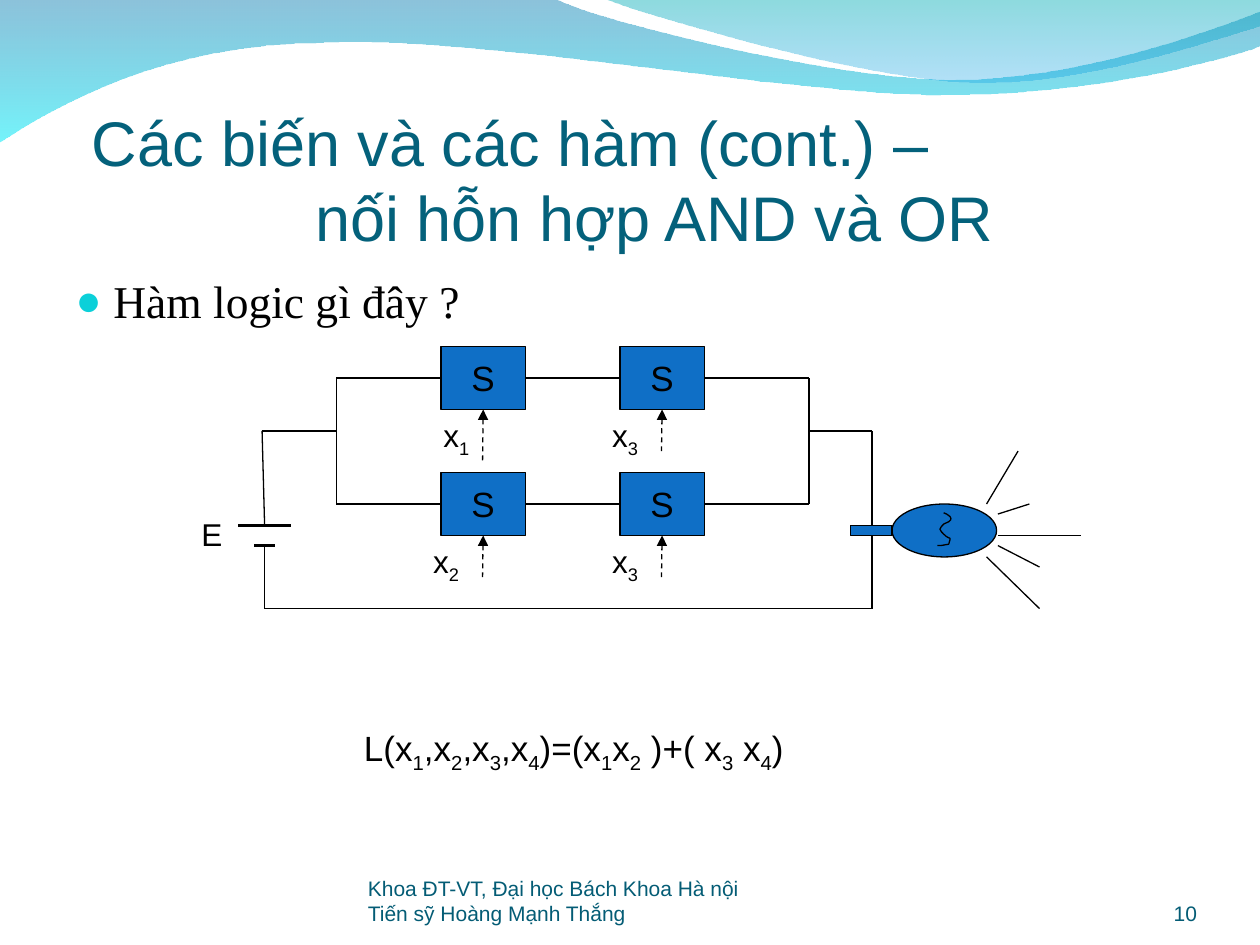
"""Build the slide on a lamp circuit that mixes AND and OR switches."""
import pptx
import pptx.util
import pptx.dml.color
import pptx.enum.dml
import pptx.enum.shapes
import pptx.enum.text
import pptx.oxml.ns
from lxml import etree

Inches = pptx.util.Inches
Pt = pptx.util.Pt
qn = pptx.oxml.ns.qn
KIND = pptx.enum.shapes.MSO_SHAPE
FIT = pptx.enum.text.MSO_AUTO_SIZE
ANCHOR = pptx.enum.text.MSO_ANCHOR
ALIGN = pptx.enum.text.PP_ALIGN
HEX = {"ink": "000000", "title": "04617B", "foot": "045C75", "blue": "0F6FC6",
       "dot": "0BD0D9", "deep": "0079AF", "cyan": "00EBF8", "teal": "00ADB6",
       "sky": "009BE5"}
RGB = {name: pptx.dml.color.RGBColor.from_string(code) for name, code in HEX.items()}

deck = pptx.Presentation()
deck.slide_width, deck.slide_height = Inches(10), Inches(7.5)
slide = deck.slides.add_slide(deck.slide_layouts[1])
shapes = slide.shapes


def wire(x1, y1, x2, y2, width=0.75):
    """Draw one straight line without a shadow."""
    line = shapes.add_connector(pptx.enum.shapes.MSO_CONNECTOR.STRAIGHT,
                                Inches(x1), Inches(y1), Inches(x2), Inches(y2))
    line.line.color.rgb = RGB["ink"]
    line.line.width = Pt(width)
    etree.SubElement(line.element.spPr, qn("a:effectLst"))
    return line


def curve(start, steps, shut):
    """Draw an outline from points (x, y) and cubic steps (x1, y1, x2, y2, x, y)."""
    pen = shapes.build_freeform(Inches(start[0]), Inches(start[1]))
    pen.add_line_segments([(Inches(step[-2]), Inches(step[-1])) for step in steps], close=shut)
    form = pen.convert_to_shape()
    form.shadow.inherit = False
    for leg, step in zip(list(form.element.iter(qn("a:lnTo"))), steps):
        if len(step) == 6:
            leg.tag = qn("a:cubicBezTo")
            for n in (2, 0):
                dot = etree.Element(qn("a:pt"), x=str(Inches(step[n]) - form.left),
                                    y=str(Inches(step[n + 1]) - form.top))
                leg.insert(0, dot)
    return form


waves = [
    ((0, -0.01), [(4.4, -0.01), (4.76, 0.17, 6.64, 0.63, 7.58, 0.63),
                  (8.53, 0.63, 9.58, 0.26, 10, 0.09), (10.01, 0.36),
                  (9.83, 0.44, 8.7, 0.76, 7.46, 0.75), (6.22, 0.75, 3.82, 0.28, 2.57, 0.34),
                  (1.29, 0.35, 0.46, 0.83, -0.01, 1.13), (0, -0.01)], ("deep", 45), ("cyan", 55)),
    ((4.79, -0.01), [(5.09, 0.11, 6.82, 0.62, 7.69, 0.65), (8.56, 0.69, 9.61, 0.32, 10, 0.21),
                     (10, 0), (4.79, -0.01)], ("teal", 45), ("sky", 30)),
]
for place, (start, steps, *tints) in enumerate(waves, 2):
    wave = curve(start, steps, True)
    wave.line.fill.background()
    wave.fill.gradient()
    wave.fill.gradient_angle = 270
    for stop, (name, _) in zip(wave.fill.gradient_stops, tints):
        stop.color.rgb = RGB[name]
    for tint, (_, alpha) in zip(list(wave.element.iter(qn("a:srgbClr"))), tints):
        etree.SubElement(tint, qn("a:alpha"), val=str(alpha * 1000))
    shapes.element.insert(place, wave.element)

title = shapes.title
title.left, title.top, title.width, title.height = Inches(0.5), Inches(0.77), Inches(9), Inches(1.25)
frame = title.text_frame
frame.text = "Các biến và các hàm (cont.) –\vnối hỗn hợp AND và OR"
frame.auto_size = FIT.NONE
frame.vertical_anchor = ANCHOR.BOTTOM
frame.margin_left = frame.margin_right = frame.margin_bottom = 0
para = frame.paragraphs[0]
para.alignment = ALIGN.LEFT
props = para._p.get_or_add_pPr()
props.set("marL", str(Inches(2)))
props.set("indent", str(Inches(-1.77)))
para.font.name, para.font.size = "Arial", Pt(36)
para.font.color.rgb = RGB["title"]

body = slide.placeholders[1]
body.left, body.top, body.width, body.height = Inches(0.5), Inches(2.12), Inches(9), Inches(4.8)
frame = body.text_frame
frame.text = "Hàm logic gì đây ?"
frame.auto_size = FIT.NONE
para = frame.paragraphs[0]
props = para._p.get_or_add_pPr()
props.set("marL", str(Inches(0.3)))
props.set("indent", str(Inches(-0.3)))
etree.SubElement(etree.SubElement(props, qn("a:buClr")), qn("a:srgbClr"), val=HEX["dot"])
etree.SubElement(props, qn("a:buSzPct"), val="95000")
etree.SubElement(props, qn("a:buChar"), char="●")
para.space_before = Pt(0)
para.font.name, para.font.size = "Times New Roman", Pt(26)
para.font.color.rgb = RGB["ink"]

parts = [(KIND.RECTANGLE, x, y, 0.67, 0.5, "S") for y in (2.75, 3.75) for x in (3.5, 4.92)]
parts += [(KIND.OVAL, 7.08, 4, 0.83, 0.42, ""), (KIND.RECTANGLE, 6.75, 4.17, 0.33, 0.08, "")]
boxes = []
for kind, x, y, w, h, text in parts:
    box = shapes.add_shape(kind, Inches(x), Inches(y), Inches(w), Inches(h))
    box.shadow.inherit = False
    box.fill.solid()
    box.fill.fore_color.rgb = RGB["blue"]
    box.line.color.rgb = RGB["ink"]
    box.line.width = Pt(0.75)
    if text:
        box.text_frame.text = text
        box.text_frame.word_wrap = False
        box.text_frame.vertical_anchor = ANCHOR.MIDDLE
        para = box.text_frame.paragraphs[0]
        para.alignment = ALIGN.CENTER
        para.font.name, para.font.size = "Arial", Pt(20)
        para.font.color.rgb = RGB["ink"]
    boxes.append(box)

for y, near, far in ((3, boxes[0], boxes[1]), (4, boxes[2], boxes[3])):
    wire(2.67, y, 3.5, y).end_connect(near, 1)
    link = wire(4.17, y, 4.92, y)
    link.begin_connect(near, 3)
    link.end_connect(far, 1)
    wire(5.58, y, 6.42, y).begin_connect(far, 3)

for box, x, top, low in zip(boxes, (3.83, 5.25) * 2, (3.25, 3.25, 4.25, 4.25),
                            (3.67, 3.58, 4.58, 4.58)):
    arrow = wire(x, top, x, low)
    arrow.begin_connect(box, 2)
    arrow.line.dash_style = pptx.enum.dml.MSO_LINE.DASH
    etree.SubElement(arrow.line._get_or_add_ln(), qn("a:headEnd"), type="triangle")

wires = [(2.67, 3, 2.67, 4), (6.42, 3, 6.42, 4), (2.08, 3.42, 2.67, 3.42),
         (6.42, 3.42, 6.92, 3.42), (2.08, 3.42, 2.1, 4.17), (2.1, 4.33, 2.1, 4.83),
         (2.1, 4.83, 6.92, 4.83), (6.92, 4.25, 6.92, 4.83), (6.92, 3.42, 6.92, 4.17)]
cell = [(1.89, 4.17, 2.31, 4.17, 1.5), (2.02, 4.33, 2.18, 4.33, 1.5)]
rays = [(7.83, 4, 8.08, 3.58), (7.92, 4.08, 8.17, 4), (7.92, 4.25, 8.58, 4.25),
        (7.92, 4.33, 8.25, 4.5), (7.83, 4.42, 8.25, 4.83)]
for ends in wires + cell + rays:
    wire(*ends)

coil = curve((7.49, 4.07), [(7.5, 4.08, 7.53, 4.08, 7.54, 4.1), (7.57, 4.14, 7.5, 4.15, 7.49, 4.16),
                            (7.47, 4.17, 7.47, 4.19, 7.46, 4.2), (7.47, 4.21, 7.47, 4.23, 7.49, 4.24),
                            (7.55, 4.3, 7.55, 4.24, 7.53, 4.32), (7.46, 4.33, 7.49, 4.33, 7.44, 4.33)],
             False)
coil.fill.background()
coil.line.color.rgb = RGB["ink"]
coil.line.width = Pt(0.75)

labels = [("E", 1.5, 4.04, 0.4, 0.4, 18, 0), ("x_1", 3.42, 3.25, 0.5, 0.44, 18, 0),
          ("x_2", 3.34, 4.25, 0.5, 0.44, 18, 0), ("x_3", 4.76, 3.25, 0.5, 0.44, 18, 0),
          ("x_3", 4.76, 4.25, 0.5, 0.44, 18, 0),
          ("L(x_1,x_2,x_3,x_4)=(x_1x_2 )+( x_3 x_4)", 2.29, 5.72, 4.1, 0.48, 20, 0.5)]
for text, x, y, w, h, size, indent in labels:
    box = shapes.add_textbox(Inches(x), Inches(y), Inches(w), Inches(h))
    box.text_frame.word_wrap = True
    para = box.text_frame.paragraphs[0]
    para._p.get_or_add_pPr().set("marL", str(Inches(indent)))
    first, *rest = text.split("_")
    para.add_run().text = first
    for piece in rest:
        sub = para.add_run()
        sub.text = piece[0]
        sub._r.get_or_add_rPr().set("baseline", "-25000")
        if piece[1:]:
            para.add_run().text = piece[1:]
    para.font.name, para.font.size = "Arial", Pt(size)
    para.font.color.rgb = RGB["ink"]

feet = [("Khoa ĐT-VT, Đại học Bách Khoa Hà nội\vTiến sỹ Hoàng Mạnh Thắng", 2.92, 3.67, ALIGN.LEFT),
        ("10", 8.67, 0.83, ALIGN.RIGHT)]
for text, x, w, align in feet:
    frame = shapes.add_textbox(Inches(x), Inches(6.95), Inches(w), Inches(0.4)).text_frame
    frame.text = text
    frame.word_wrap = True
    frame.vertical_anchor = ANCHOR.BOTTOM
    frame.margin_left = frame.margin_right = frame.margin_top = frame.margin_bottom = 0
    para = frame.paragraphs[0]
    para.alignment = align
    para.font.name, para.font.size = "Arial", Pt(12)
    para.font.color.rgb = RGB["foot"]

deck.save("out.pptx")
